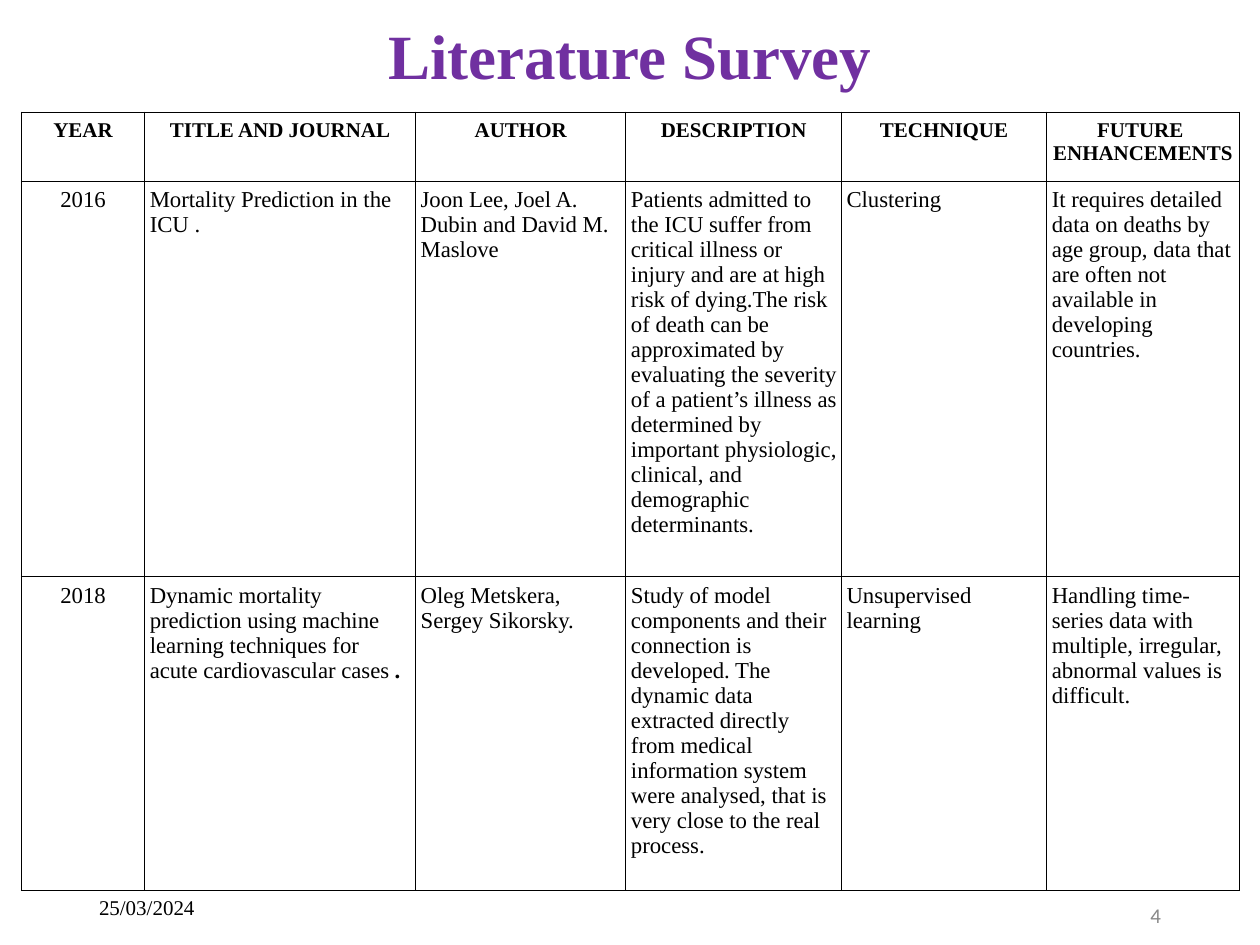
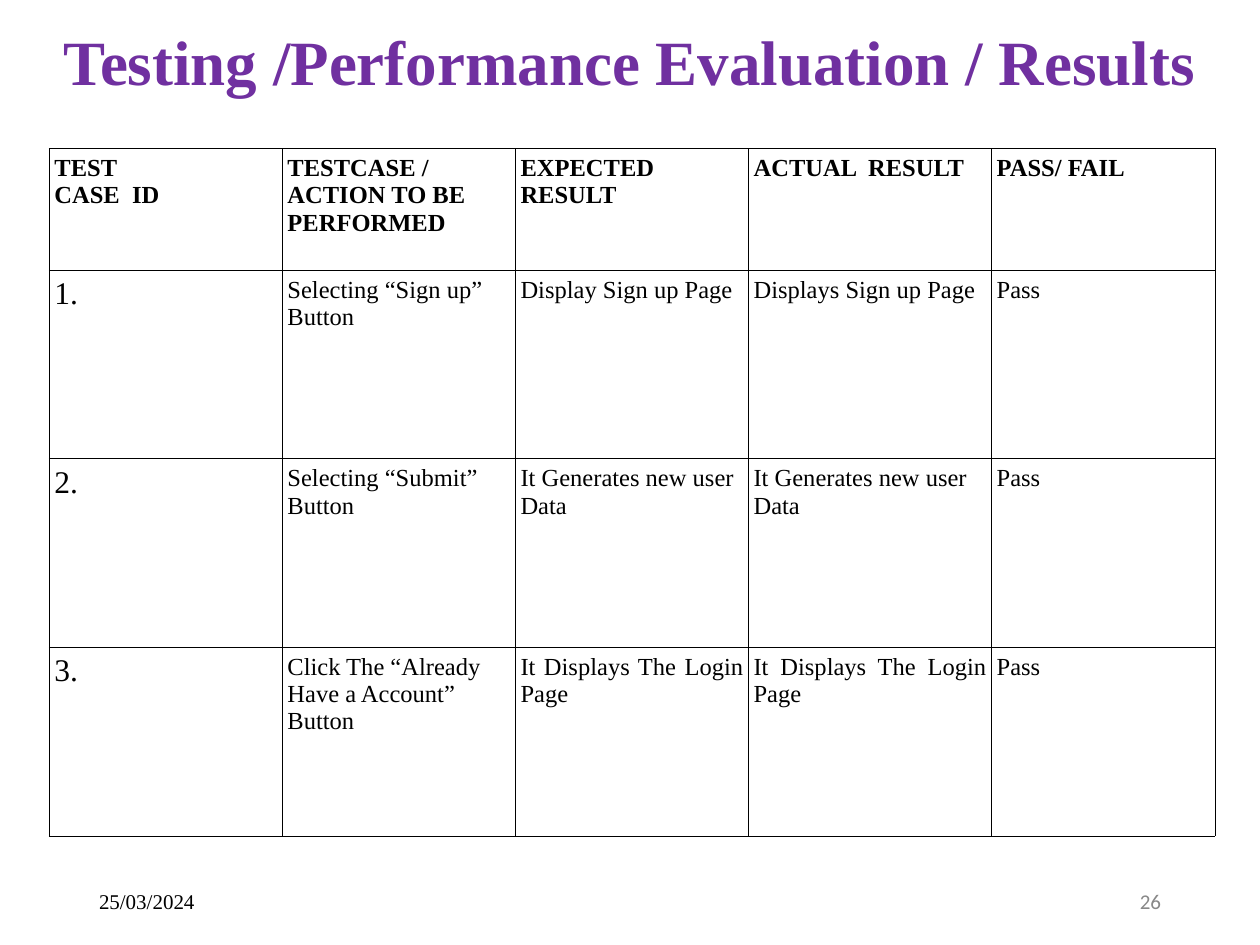
from lxml import etree
from pptx import Presentation
from pptx import util as u
from pptx.dml.color import RGBColor
from pptx.enum import text
from pptx.oxml import ns

Pt = u.Pt
ALIGN = text.PP_ALIGN

SURVEY = [
    ["YEAR", "TITLE AND JOURNAL", "AUTHOR", "DESCRIPTION", "TECHNIQUE",
     "FUTURE \nENHANCEMENTS"],
    ["2016",
     "Mortality Prediction in the ICU .",
     "Joon Lee, Joel A. Dubin and David M. Maslove",
     "Patients admitted to the ICU suffer from critical illness or injury and "
     "are at high risk of dying.The risk of death can be approximated by "
     "evaluating the severity of a patient’s illness as determined by important "
     "physiologic, clinical, and demographic determinants.",
     "Clustering",
     "It requires detailed data on deaths by age group, data that are often "
     "not available in developing countries."],
    ["2018",
     [("Dynamic mortality prediction using machine learning techniques for "
       "acute cardiovascular cases", False), (" .", True)],
     "Oleg Metskera, Sergey Sikorsky.",
     "Study of model components and their connection is developed. The dynamic "
     "data extracted directly from medical information system were analysed, "
     "that is very close to the real process.",
     "Unsupervised learning",
     "Handling time-series data with multiple, irregular, abnormal values is "
     "difficult."],
]

TEST_CASES = [
    ["TEST\nCASE  ID", "TESTCASE /\nACTION TO BE PERFORMED", "EXPECTED RESULT",
     "ACTUAL  RESULT", "PASS/ FAIL"],
    ["1.", "Selecting “Sign up” Button", "Display Sign up Page",
     "Displays Sign up Page", "Pass"],
    ["2.", "Selecting “Submit” Button", "It Generates new user Data",
     "It Generates new user Data", "Pass"],
    ["3.", "Click The “Already Have a Account” Button",
     "It Displays The Login Page", "It Displays The Login Page", "Pass"],
]


class Deck:
    COLORS = {"title": "7030A0", "ink": "000000", "number": "888888"}
    SERIF, SANS = "Times New Roman", "Calibri"
    BORDER = 0.57

    def __init__(self):
        self.prs = Presentation()
        self.prs.slide_width, self.prs.slide_height = Pt(720), Pt(540)
        self.slide = None

    def add_run(self, paragraph, words, size, color="ink", bold=False, font=SERIF):
        run = paragraph.add_run()
        run.text = words
        run.font.size, run.font.bold, run.font.name = Pt(size), bold, font
        run.font.color.rgb = RGBColor.from_string(self.COLORS[color])

    def add_slide(self, title, left, top, width):
        """Start a title-only slide and place its heading."""
        self.slide = self.prs.slides.add_slide(self.prs.slide_layouts[5])
        heading = self.slide.shapes.title
        heading.left, heading.top = Pt(left), Pt(top)
        heading.width, heading.height = Pt(width), Pt(41.8)
        frame = heading.text_frame
        frame.word_wrap, frame.auto_size = True, text.MSO_AUTO_SIZE.NONE
        frame.vertical_anchor = text.MSO_ANCHOR.MIDDLE
        paragraph = frame.paragraphs[0]
        paragraph.alignment, paragraph.line_spacing = ALIGN.CENTER, 0.9
        self.add_run(paragraph, title, 36, "title", bold=True)

    def add_label(self, words, left, top, align, color, font):
        box = self.slide.shapes.add_textbox(Pt(left), Pt(top), Pt(162), Pt(28.8))
        frame = box.text_frame
        frame.word_wrap = True
        frame.vertical_anchor = text.MSO_ANCHOR.MIDDLE
        frame.paragraphs[0].alignment = align
        self.add_run(frame.paragraphs[0], words, 12, color, font=font)

    def add_footer(self, number, date_top, number_top):
        self.add_label("25/03/2024", 49.5, date_top, ALIGN.LEFT, "ink", self.SERIF)
        self.add_label(number, 508.5, number_top, ALIGN.RIGHT, "number", self.SANS)

    def add_table(self, rows, left, top, widths, heights, look):
        """look(row, column) gives the size and alignment of a cell."""
        table = self.slide.shapes.add_table(
            len(rows), len(widths), Pt(left), Pt(top),
            Pt(sum(widths)), Pt(sum(heights))).table
        table.first_row = table.horz_banding = False
        for column, width in zip(table.columns, widths):
            column.width = Pt(width)
        for r, (row, height) in enumerate(zip(rows, heights)):
            table.rows[r].height = Pt(height)
            for c, content in enumerate(row):
                self.fill_cell(table.cell(r, c), content, r == 0, *look(r, c))

    def fill_cell(self, cell, content, is_header, size, align):
        cell.margin_left = cell.margin_right = Pt(2.9)
        cell.margin_top = cell.margin_bottom = Pt(3.6)
        if isinstance(content, str):
            lines = [[(line, is_header)] for line in content.split("\n")]
        else:
            lines = [content]
        frame = cell.text_frame
        for i, line in enumerate(lines):
            paragraph = frame.add_paragraph() if i else frame.paragraphs[0]
            paragraph.alignment = align
            for words, bold in line:
                self.add_run(paragraph, words, size, bold=bold)
        self.draw_borders(cell)
        cell.fill.background()

    def draw_borders(self, cell):
        properties = cell._tc.get_or_add_tcPr()
        for side in ("a:lnL", "a:lnR", "a:lnT", "a:lnB"):
            line = etree.SubElement(properties, ns.qn(side), w=str(Pt(self.BORDER)))
            fill = etree.SubElement(line, ns.qn("a:solidFill"))
            etree.SubElement(fill, ns.qn("a:srgbClr"), val=self.COLORS["ink"])


def survey_look(row, column):
    size = 12 if row == 0 else 13
    return size, ALIGN.CENTER if row == 0 or column == 0 else ALIGN.LEFT


def test_look(row, column):
    size = 18 if row and column == 0 else 14
    return size, ALIGN.JUSTIFY if row == 3 and column in (2, 3) else ALIGN.LEFT


def main():
    deck = Deck()

    deck.add_slide("Literature Survey", 49.5, 13, 621)
    deck.add_footer("4", 504, 508.5)
    deck.add_table(SURVEY, 12.2, 64.1, [70.5, 154.8, 120.2, 123.2, 117.3, 109.9],
                   [39.6, 197.3, 156.2], survey_look)

    deck.add_slide("Testing /Performance Evaluation / Results", 26.8, 16.5, 666)
    deck.add_footer("26", 500.5, 500.5)
    deck.add_table(TEST_CASES, 28.2, 85, [133.2] * 3 + [138.9, 127.7],
                   [69.4] + [107.8] * 3, test_look)

    deck.prs.save("out.pptx")


if __name__ == "__main__":
    main()
